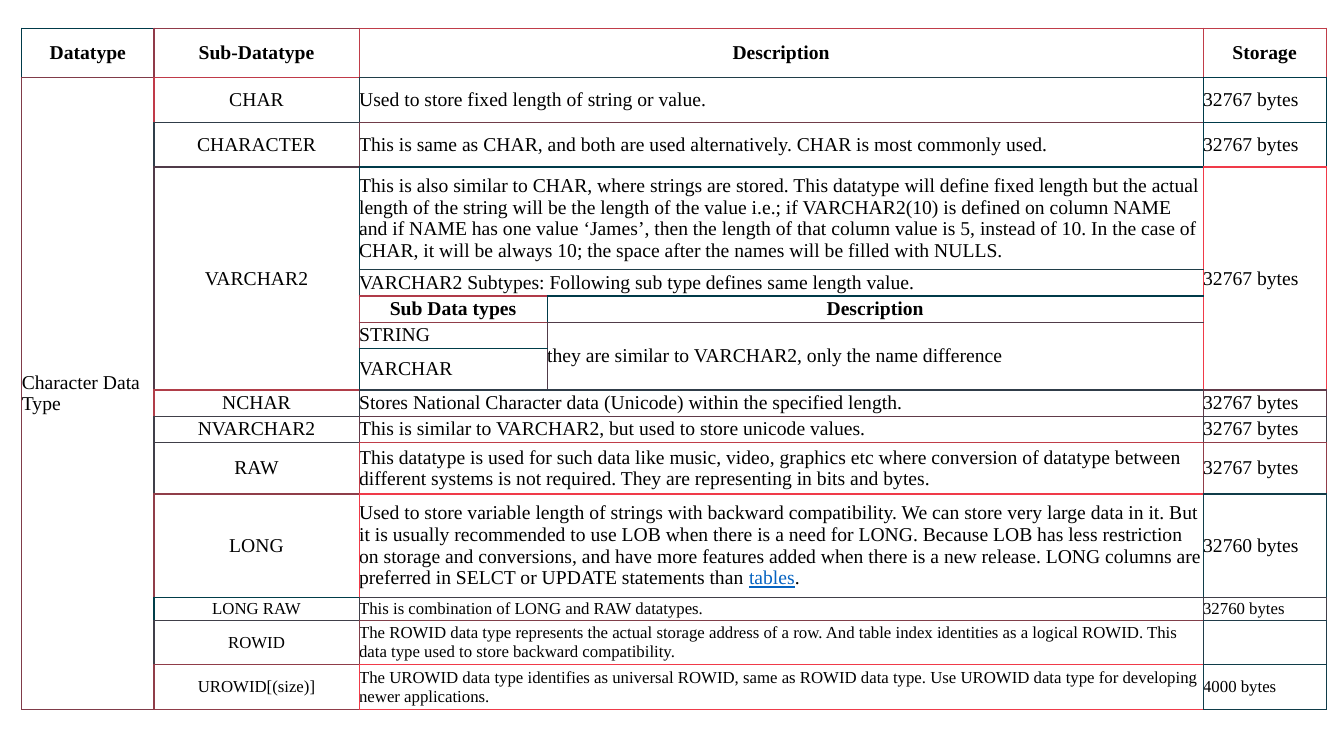
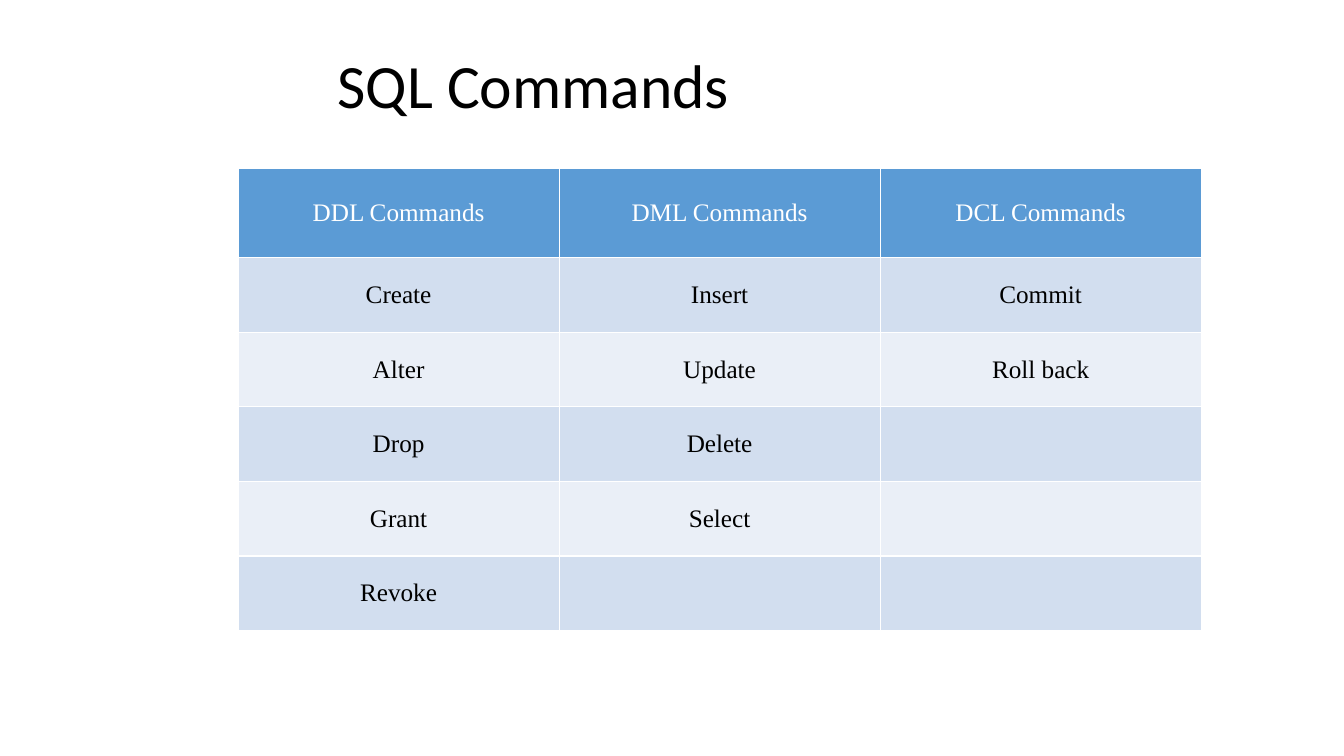
from dataclasses import dataclass
from itertools import product

from lxml.etree import SubElement
from pptx import Presentation
from pptx.dml.color import RGBColor
from pptx.enum.text import MSO_ANCHOR as Anchor, PP_ALIGN as Align
from pptx.oxml.ns import qn
from pptx.util import Cm, Pt

SERIF, SANS = "Times New Roman", "Calibri"
BLACK, WHITE, LINK = "000000", "FFFFFF", "0563C1"
HEADER_BLUE, BAND_DARK, BAND_LIGHT = "5B9BD5", "D2DEEF", "EAEFF7"


@dataclass
class Entry:
    """Text of a cell, the colour of its left and top edges, and its span."""
    text: str
    edge: str
    rows: int = 1
    cols: int = 1
    link: str = ""
    ending: str = ""


def described(name, name_edge, description, text_edge, storage, storage_edge, **more):
    """The entries of one datatype, by column."""
    return {
        1: Entry(name, name_edge, more.pop("rows", 1)),
        2: Entry(description, text_edge, cols=2, **more),
        4: Entry(storage, storage_edge),
    }


VARCHAR2_ROWS = 5
CHARACTER_TYPES = [
    {0: Entry("Datatype", "003A49")}
    | described("Sub-Datatype", "903A49", "Description", "C03D49", "Storage", "C03D49"),
    {0: Entry("Character Data Type", "803B49", rows=14)}
    | described("CHAR", "C03A49", "Used to store fixed length of string or value.", "203E49",
                "32767 bytes", "003A49"),
    described("CHARACTER", "303D49",
              "This is same as CHAR, and both are used alternatively. "
              "CHAR is most commonly used.", "703C49", "32767 bytes", "003A49"),
    {
        1: Entry("VARCHAR2", "503B49", rows=VARCHAR2_ROWS),
        2: Entry("This is also similar to CHAR, where strings are stored. This datatype will "
                 "define fixed length but the actual length of the string will be the length "
                 "of the value i.e.; if VARCHAR2(10) is defined on column NAME and if NAME has "
                 "one value ‘James’, then the length of that column value is 5, instead of 10. "
                 "In the case of CHAR, it will be always 10; the space after the names will be "
                 "filled with NULLS.", "003A49", cols=2),
        4: Entry("32767 bytes", "F03A49", rows=VARCHAR2_ROWS),
    },
    {2: Entry("VARCHAR2 Subtypes: Following sub type defines same length value.",
              "203E49", cols=2)},
    {2: Entry("Sub Data types", "B03B49"), 3: Entry("Description", "003A49")},
    {2: Entry("STRING", "903D49"),
     3: Entry("they are similar to VARCHAR2, only the name difference", "503B49", rows=2)},
    {2: Entry("VARCHAR", "003D49")},
    described("NCHAR", "B03E49",
              "Stores National Character data (Unicode) within the specified length.", "303D49",
              "32767 bytes", "603A49"),
    described("NVARCHAR2", "403F49",
              "This is similar to VARCHAR2, but used to store unicode values.", "603A49",
              "32767 bytes", "403F49"),
    described("RAW", "403F49",
              "This datatype is used for such data like music, video, graphics etc where "
              "conversion of datatype between different systems is not required. They are "
              "representing in bits and bytes.", "C03D49", "32767 bytes", "903D49"),
    described("LONG", "903D49",
              "Used to store variable length of strings with backward compatibility. We can "
              "store very large data in it. But it is usually recommended to use LOB when there "
              "is a need for LONG. Because LOB has less restriction on storage and conversions, "
              "and have more features added when there is a new release. LONG columns are "
              "preferred in SELCT or UPDATE statements than ", "F03A49",
              "32760 bytes", "103C49", link="tables", ending="."),
    described("LONG RAW", "003D49", "This is combination of LONG and RAW datatypes.", "403F49",
              "32760 bytes", "403F49"),
    described("ROWID", "403F49",
              "The ROWID data type represents the actual storage address of a row. And table "
              "index identities as a logical ROWID. This data type used to store backward "
              "compatibility.", "803E49", "", "203B49"),
    described("UROWID[(size)]", "903D49",
              "The UROWID data type identifies as universal ROWID, same as ROWID data type. Use "
              "UROWID data type for developing newer applications.", "F03A49",
              "4000 bytes", "103C49"),
]
TYPE_COLUMNS = [3.33, 5.17, 4.74, 16.53, 3.1]
TYPE_ROWS = [1.24, 1.14, 1.12, 2.58, 0.67, 0.66, 0.66, 1.05, 0.66, 0.66, 1.3, 2.6,
             0.58, 1.12, 1.13]
HEADING_ROWS = (0, 5)
FIRST_SMALL_ROW = 12

COMMANDS = [
    ("DDL Commands", "DML Commands", "DCL Commands"),
    ("Create", "Insert", "Commit"),
    ("Alter", "Update", "Roll back"),
    ("Drop", "Delete", ""),
    ("Grant", "Select", ""),
    ("Revoke", "", ""),
]


def color(hex_value):
    return RGBColor.from_string(hex_value)


def apply(target, values):
    for name, value in values.items():
        setattr(target, name, value)


def write(paragraph, text, size, hex_value=BLACK, font=SERIF, **values):
    if not text:
        return
    run = paragraph.add_run()
    run.text = text
    apply(run.font, {"name": font, "size": Pt(size)} | values)
    run.font.color.rgb = color(hex_value)


def fill_cell(cell, hex_value):
    cell.fill.solid()
    cell.fill.fore_color.rgb = color(hex_value)
    cell.vertical_anchor = Anchor.MIDDLE


def draw_edges(cell, edges):
    """Set (colour, points) for the left, right, top and bottom edges."""
    properties = cell._tc.get_or_add_tcPr()
    for place, (side, (hex_value, width)) in enumerate(zip("LRTB", edges)):
        line = SubElement(properties, qn(f"a:ln{side}"), w=str(Pt(width)))
        SubElement(SubElement(line, qn("a:solidFill")), qn("a:srgbClr"), val=hex_value)
        properties.insert(place, line)


def add_grid(slide, left, top, columns, rows):
    frame = slide.shapes.add_table(len(rows), len(columns), Cm(left), Cm(top),
                                   Cm(sum(columns)), Cm(sum(rows)))
    table = frame.table
    apply(table, {"first_row": False, "horz_banding": False})
    for column, width in zip(table.columns, columns):
        column.width = Cm(width)
    for row, height in zip(table.rows, rows):
        row.height = Cm(height)
    return table


def edge_owners(entries):
    """Map every grid position to the edge colour of the entry that covers it."""
    return {
        (row + down, col + across): entry.edge
        for row, line in enumerate(entries)
        for col, entry in line.items()
        for down, across in product(range(entry.rows), range(entry.cols))
    }


def add_character_types(slide, left, top):
    table = add_grid(slide, left, top, TYPE_COLUMNS, TYPE_ROWS)
    for cell in table.iter_cells():
        apply(cell, dict.fromkeys(
            ("margin_left", "margin_right", "margin_top", "margin_bottom"), 0))
    owners = edge_owners(CHARACTER_TYPES)

    def neighbour(position, own):
        return (owners[position], 1) if position in owners else (own, 0.75)

    for row, line in enumerate(CHARACTER_TYPES):
        heading = row in HEADING_ROWS
        size = 12 if row >= FIRST_SMALL_ROW else 14
        for col, entry in line.items():
            cell = table.cell(row, col)
            below, beyond = row + entry.rows, col + entry.cols
            if entry.rows * entry.cols > 1:
                cell.merge(table.cell(below - 1, beyond - 1))
            fill_cell(cell, WHITE)
            own = (entry.edge, 1)
            draw_edges(cell, (own, neighbour((row, beyond), entry.edge),
                              own, neighbour((below, col), entry.edge)))
            paragraph = cell.text_frame.paragraphs[0]
            paragraph.alignment = Align.CENTER if heading or col == 1 else Align.LEFT
            write(paragraph, entry.text, size, bold=heading)
            write(paragraph, entry.link, size, LINK, underline=True)
            write(paragraph, entry.ending, size)


def add_title(slide, text, left, top, width, height):
    frame = slide.shapes.add_textbox(Cm(left), Cm(top), Cm(width), Cm(height)).text_frame
    apply(frame, {"word_wrap": True, "vertical_anchor": Anchor.MIDDLE})
    paragraph = frame.paragraphs[0]
    paragraph.line_spacing = 0.9
    write(paragraph, text, 44, font=SANS)


def add_commands(slide, left, top):
    body_rows = len(COMMANDS) - 1
    table = add_grid(slide, left, top, [8.09] * 3, [2.24] + [1.88] * body_rows)
    for row, names in enumerate(COMMANDS):
        band = BAND_DARK if row % 2 else BAND_LIGHT
        for col, name in enumerate(names):
            cell = table.cell(row, col)
            fill_cell(cell, band if row else HEADER_BLUE)
            draw_edges(cell, [(WHITE, 1)] * 4)
            paragraph = cell.text_frame.paragraphs[0]
            paragraph.alignment = Align.CENTER
            write(paragraph, name, 18, BLACK if row else WHITE)


def main():
    deck = Presentation()
    apply(deck, {"slide_width": Cm(33.87), "slide_height": Cm(19.05)})
    blank = deck.slide_layouts[6]

    add_character_types(deck.slides.add_slide(blank), 0.55, 0.71)

    commands = deck.slides.add_slide(blank)
    add_title(commands, "SQL Commands", 8.26, 0.64, 20.83, 3.18)
    add_commands(commands, 6, 4.25)

    deck.save("out.pptx")


if __name__ == "__main__":
    main()
